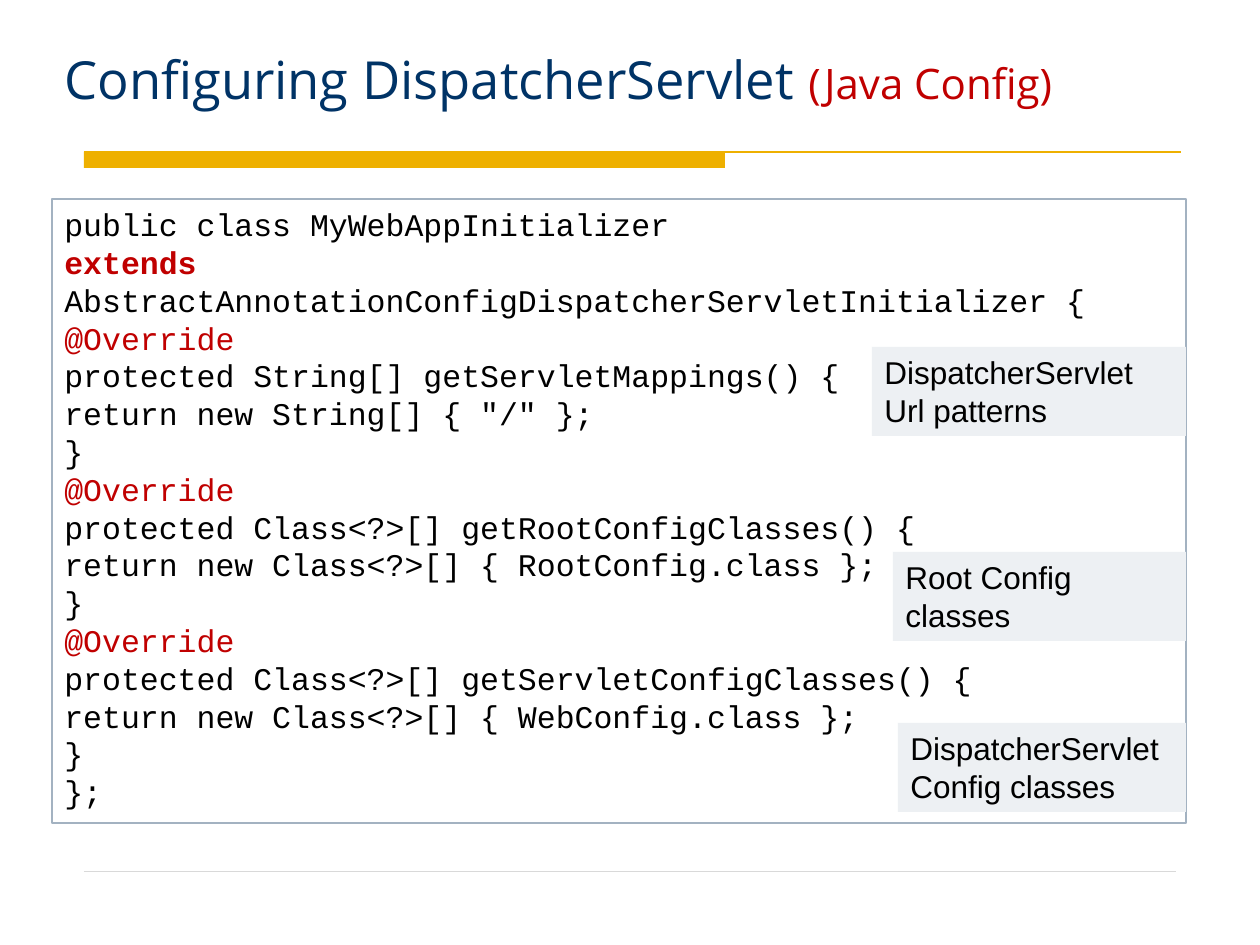
import pptx
import pptx.util
import pptx.dml.color
import pptx.enum.shapes
import pptx.enum.text
import lxml.etree
from dataclasses import dataclass

SCALE = 914400 // 126


@dataclass(frozen=True)
class Theme:
    """Colours, fonts and type sizes of the slide."""
    navy: str = "003366"
    red: str = "C00000"
    black: str = "000000"
    gold: str = "EEB000"
    border: str = "A3B2C1"
    callout: str = "EDF0F3"
    grey: str = "D9D9D9"
    title_font: str = "Open Sans"
    code_font: str = "Courier New"
    body_font: str = "Arial"
    title_size: int = 30
    subtitle_size: int = 24
    body_size: int = 18


THEME = Theme()

CODE = """public class MyWebAppInitializer
extends AbstractAnnotationConfigDispatcherServletInitializer {
@Override
protected String[] getServletMappings() {
return new String[] { "/" };
}
@Override
protected Class<?>[] getRootConfigClasses() {
return new Class<?>[] { RootConfig.class };
}
@Override
protected Class<?>[] getServletConfigClasses() {
return new Class<?>[] { WebConfig.class };
}
};"""

CALLOUTS = [
    ("DispatcherServlet Url patterns", 872, 347),
    ("Root Config classes", 893, 552),
    ("DispatcherServlet Config classes", 898, 723),
]


def px(n):
    """Turn picture pixels into EMU."""
    return pptx.util.Emu(round(n * SCALE))


def rgb(color):
    """Turn a hex string into a colour."""
    return pptx.dml.color.RGBColor.from_string(color)


def add_text(p, text, font, size, color, bold=False):
    """Append one formatted run to a paragraph."""
    r = p.add_run()
    r.text = text
    r.font.name = font
    r.font.size = pptx.util.Pt(size)
    r.font.color.rgb = rgb(color)
    r.font.bold = bold


def add_box(slide, box, fill=None, line=None):
    """Add a plain rectangle and return its wrapped, left-aligned text frame."""
    sp = slide.shapes.add_shape(
        pptx.enum.shapes.MSO_SHAPE.RECTANGLE, *map(px, box))
    sp.shadow.inherit = False
    if fill:
        sp.fill.solid()
        sp.fill.fore_color.rgb = rgb(fill)
    else:
        sp.fill.background()
    if line:
        sp.line.color.rgb = rgb(line)
        sp.line.width = pptx.util.Pt(0.75)
    else:
        sp.line.fill.background()
    tf = sp.text_frame
    tf.word_wrap = True
    tf.vertical_anchor = pptx.enum.text.MSO_ANCHOR.TOP
    tf.paragraphs[0].alignment = pptx.enum.text.PP_ALIGN.LEFT
    return tf


def add_rule(slide, x1, x2, y, color, width):
    """Add a horizontal line without a shadow."""
    cx = slide.shapes.add_connector(
        pptx.enum.shapes.MSO_CONNECTOR.STRAIGHT, px(x1), px(y), px(x2), px(y))
    cx.line.color.rgb = rgb(color)
    cx.line.width = pptx.util.Pt(width)
    sp_pr = cx._element.spPr
    lxml.etree.SubElement(sp_pr, pptx.oxml.ns.qn("a:effectLst"))


def add_rules(slide, left, top, width, height):
    """Draw the gold bar with its thin rule, and the footer rule."""
    add_box(slide, (left, top, 641, 16), fill=THEME.gold)
    add_rule(slide, left, left + width, top, THEME.gold, 0.75)
    add_rule(slide, left, left + width - 5, top + height, THEME.grey, 0.25)


def add_title(slide, left, top, width, height):
    """Write the two-colour heading."""
    sp = slide.shapes.add_textbox(*map(px, (left, top, width, height)))
    tf = sp.text_frame
    tf.word_wrap = True
    tf.vertical_anchor = pptx.enum.text.MSO_ANCHOR.BOTTOM
    p = tf.paragraphs[0]
    add_text(p, "Configuring DispatcherServlet ", font=THEME.title_font,
             size=THEME.title_size, color=THEME.navy)
    add_text(p, "(Java Config)", font=THEME.title_font,
             size=THEME.subtitle_size, color=THEME.red)


def add_code(slide, left, top, width, height):
    """Write the framed listing with its keywords in red."""
    tf = add_box(slide, (left, top, width, height), line=THEME.border)
    style = dict(font=THEME.code_font, size=THEME.body_size)
    for i, line in enumerate(CODE.splitlines()):
        p = tf.add_paragraph() if i else tf.paragraphs[0]
        p.alignment = pptx.enum.text.PP_ALIGN.LEFT
        keyword = "extends "
        if line.startswith(keyword):
            add_text(p, keyword, color=THEME.red, bold=True, **style)
            line = line[len(keyword):]
        color = THEME.red if line.startswith("@") else THEME.black
        add_text(p, line, color=color, **style)


def add_callouts(slide, right, height):
    """Place the shaded notes against the right edge of the listing."""
    for text, left, top in CALLOUTS:
        tf = add_box(slide, (left, top, right - left, height), fill=THEME.callout)
        add_text(tf.paragraphs[0], text, font=THEME.body_font,
                 size=THEME.body_size, color=THEME.black)


def main():
    """Build and save the slide."""
    prs = pptx.Presentation()
    prs.slide_width, prs.slide_height = px(1260), px(945)
    slide = prs.slides.add_slide(prs.slide_layouts[6])
    add_rules(slide, 84, 152, 1097, 719)
    add_title(slide, 52, 21, 1134, 95)
    add_code(slide, 52, 199, 1134, 624)
    add_callouts(slide, 1186, 89)
    prs.save("out.pptx")


main()
